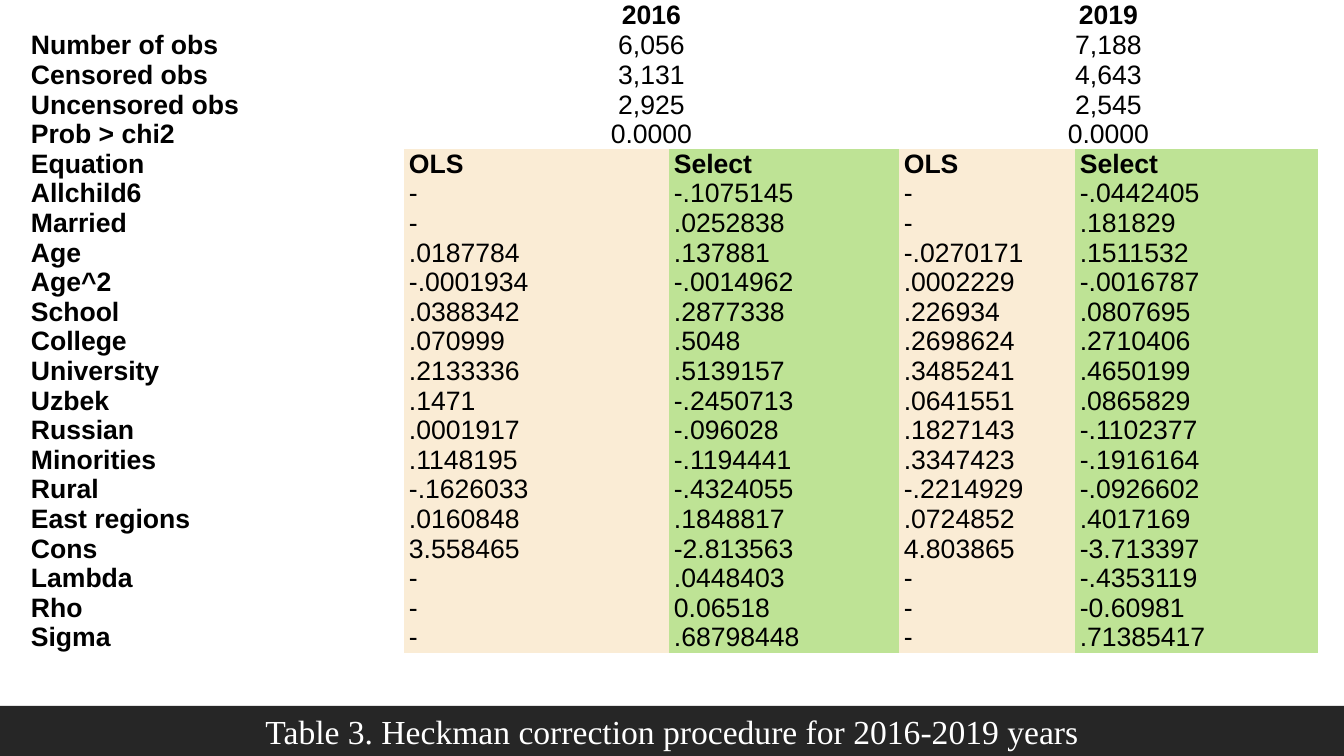
from pptx import Presentation
from pptx.dml.color import RGBColor
from pptx.enum.shapes import MSO_SHAPE
from pptx.enum.text import MSO_ANCHOR, PP_ALIGN
from pptx.oxml.ns import qn
from pptx.util import Pt

RECT = MSO_SHAPE.RECTANGLE
CENTER, JUSTIFY = PP_ALIGN.CENTER, PP_ALIGN.JUSTIFY
MIDDLE = MSO_ANCHOR.MIDDLE

SLIDE_W, SLIDE_H = 1344, 756
EMU_PER_PX = 12192000 / SLIDE_W
COLORS = {"text": "000000", "ols": "FAECD5", "select": "BEE395",
          "band": "262626", "caption": "FFFFFF"}
NO_STYLE_NO_GRID = "{2D5ABB26-0587-4C30-8999-92F81FD0307C}"

COL_WIDTHS = [378, 265, 230, 176, 243]
ROW_HEIGHTS = [11, 11, 11, 18, 11, 13] + [22] * 14 + [13, 13]

# Label, 2016, 2019
SUMMARY = [
    ("", "2016", "2019"),
    ("Number of obs", "6,056", "7,188"),
    ("Censored obs", "3,131", "4,643"),
    ("Uncensored obs", "2,925", "2,545"),
    ("Prob > chi2", "0.0000", "0.0000"),
]

# Label, then OLS and Select for each year
ESTIMATES = [
    ("Equation", "OLS", "Select", "OLS", "Select"),
    ("Allchild6", "-", "-.1075145", "-", "-.0442405"),
    ("Married", "-", ".0252838", "-", ".181829"),
    ("Age", ".0187784", ".137881", "-.0270171", ".1511532"),
    ("Age^2", "-.0001934", "-.0014962", ".0002229", "-.0016787"),
    ("School", ".0388342", ".2877338", ".226934", ".0807695"),
    ("College", ".070999", ".5048", ".2698624", ".2710406"),
    ("University", ".2133336", ".5139157", ".3485241", ".4650199"),
    ("Uzbek", ".1471", "-.2450713", ".0641551", ".0865829"),
    ("Russian", ".0001917", "-.096028", ".1827143", "-.1102377"),
    ("Minorities", ".1148195", "-.1194441", ".3347423", "-.1916164"),
    ("Rural", "-.1626033", "-.4324055", "-.2214929", "-.0926602"),
    ("East regions", ".0160848", ".1848817", ".0724852", ".4017169"),
    ("Cons", "3.558465", "-2.813563", "4.803865", "-3.713397"),
    ("Lambda", "-", ".0448403", "-", "-.4353119"),
    ("Rho", "-", "0.06518", "-", "-0.60981"),
    ("Sigma", "-", ".68798448", "-", ".71385417"),
]


def px(n):
    return round(n * EMU_PER_PX)


def rgb(name):
    return RGBColor.from_string(COLORS[name])


def set_text(tf, text, size, font, color, align, bold=False):
    p = tf.paragraphs[0]
    p.text = text
    p.alignment = align
    for r in p.runs:
        r.font.size = Pt(size)
        r.font.name = font
        r.font.bold = bold
        r.font.color.rgb = rgb(color)


def fill_cell(cell, text, align, bold, fill=None):
    cell.margin_left = cell.margin_right = px(5)
    cell.margin_top = cell.margin_bottom = 0
    if fill:
        cell.fill.solid()
        cell.fill.fore_color.rgb = rgb(fill)
    else:
        cell.fill.background()
    set_text(cell.text_frame, text, 19, "Arial", "text", align, bold)


def add_results_table(slide, x, y, w, h):
    frame = slide.shapes.add_table(len(ROW_HEIGHTS), len(COL_WIDTHS),
                                   px(x), px(y), px(w), px(h))
    table = frame.table
    table.first_row = table.horz_banding = False
    for style in frame.element.iter(qn("a:tableStyleId")):
        style.text = NO_STYLE_NO_GRID
    for col, width in zip(table.columns, COL_WIDTHS):
        col.width = px(width)
    for row, height in zip(table.rows, ROW_HEIGHTS):
        row.height = px(height)

    # Summary rows: one merged pair of columns per year
    for i, (label, *years) in enumerate(SUMMARY):
        fill_cell(table.cell(i, 0), label, JUSTIFY, True)
        for j, value in zip((1, 3), years):
            cell = table.cell(i, j)
            cell.merge(table.cell(i, j + 1))
            fill_cell(cell, value, CENTER, i == 0)

    # Estimates: alternating OLS and Select columns
    for i, (label, *values) in enumerate(ESTIMATES):
        row = len(SUMMARY) + i
        fill_cell(table.cell(row, 0), label, JUSTIFY, True)
        if label in [e[0] for e in ESTIMATES[3:14]]:
            table.cell(row, 0).vertical_anchor = MIDDLE
        for j, value in enumerate(values, 1):
            fill_cell(table.cell(row, j), value, JUSTIFY, i == 0,
                      "ols" if j % 2 else "select")


def add_caption(slide, x, y, w, h):
    # Full-width band
    band = slide.shapes.add_shape(RECT, px(x), px(y), px(w), px(h))
    band.shadow.inherit = False
    band.fill.solid()
    band.fill.fore_color.rgb = rgb("band")
    band.line.fill.background()

    # Centred caption
    inset = 228
    box = slide.shapes.add_textbox(px(x + inset), px(y),
                                   px(w - 2 * inset), px(h))
    box.text_frame.word_wrap = True
    set_text(box.text_frame,
             "Table 3. Heckman correction procedure for 2016-2019 years",
             24, "Times New Roman", "caption", CENTER)


def main():
    prs = Presentation()
    prs.slide_width, prs.slide_height = px(SLIDE_W), px(SLIDE_H)
    slide = prs.slides.add_slide(prs.slide_layouts[6])
    add_results_table(slide, 26, 0, sum(COL_WIDTHS), 702)
    add_caption(slide, 0, 706, SLIDE_W, 50)
    prs.save("out.pptx")


if __name__ == "__main__":
    main()
